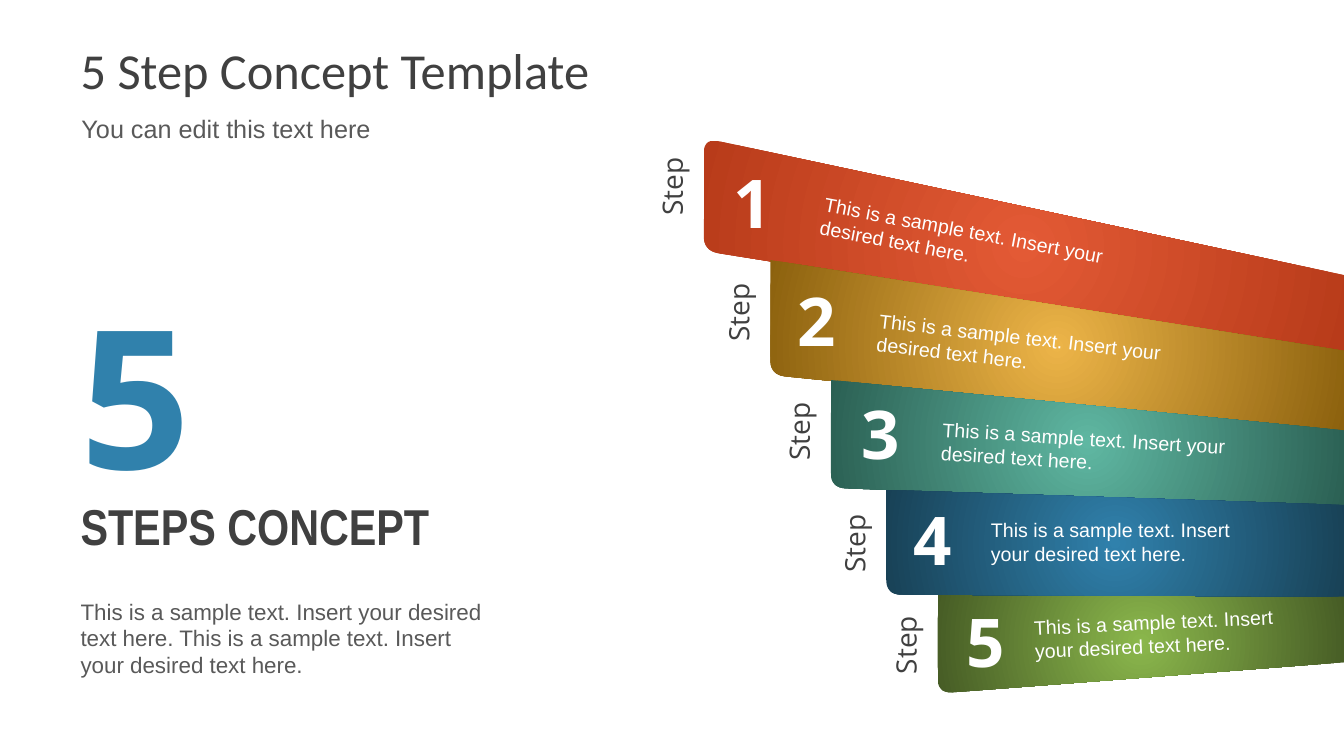
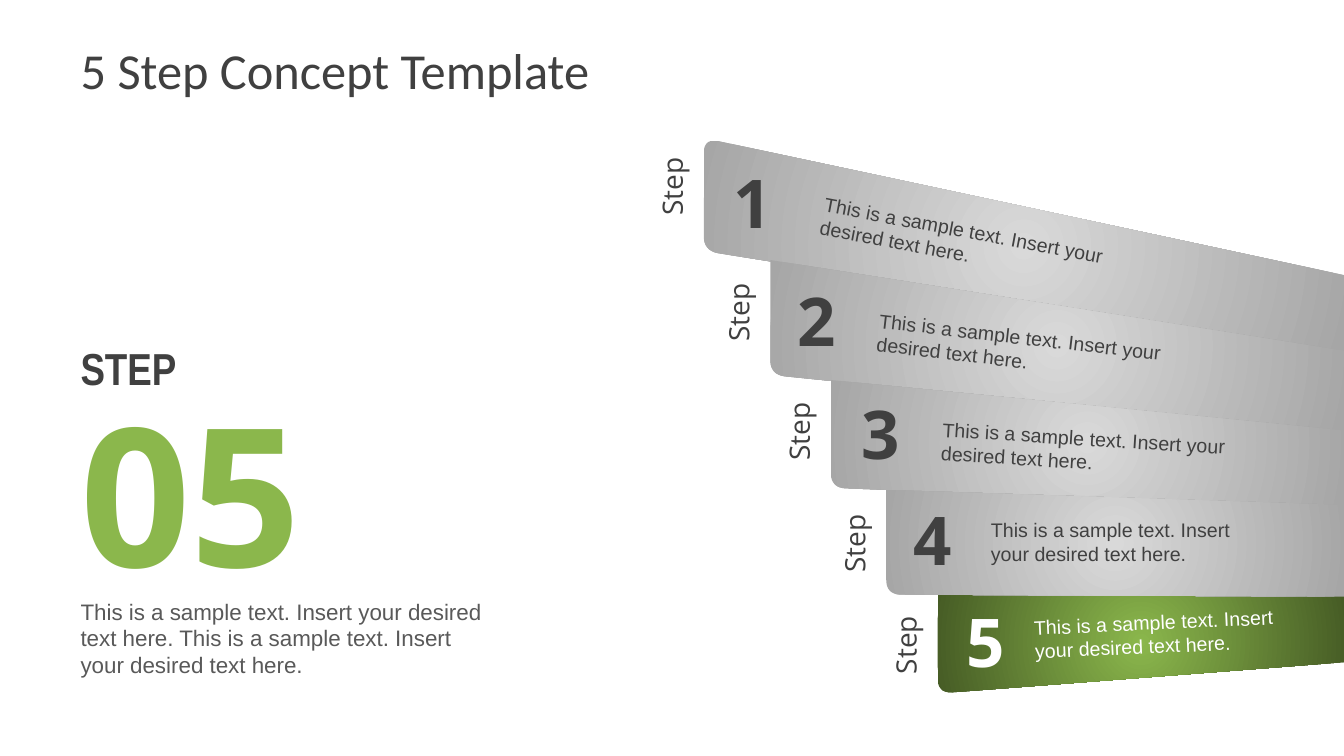
from lxml import etree
from pptx import Presentation
from pptx.dml.color import RGBColor
from pptx.enum.text import MSO_ANCHOR, MSO_AUTO_SIZE, PP_ALIGN
from pptx.oxml.ns import qn
from pptx.util import Inches, Pt

LEFT, CENTER = PP_ALIGN.LEFT, PP_ALIGN.CENTER
MIDDLE = MSO_ANCHOR.MIDDLE
GROW = MSO_AUTO_SIZE.SHAPE_TO_FIT_TEXT

# Shared style
WIDTH, HEIGHT = 13.33, 7.5
DARK, MUTED, WHITE = "404040", "595959", "FFFFFF"
GREY_GRADIENT = ("D9D9D9", "A6A6A6")
TITLE_FONT, NUMBER_FONT, BODY_FONT, HEADING_FONT = "Calibri", "Open Sans", "Arial", "Arial Narrow"
MARGIN, COLUMN = 0.7, 4.21
CORNER_WIDTH, CORNER_HEIGHT, CORNER_POINTS = 0.15, 0.15, 12
STEP_OFFSET, STEP_SIZE = 0.78, (0.93, 0.44)
NUMBER_SIZE = (0.59, 0.91)

# Content
TITLE = "5 Step Concept Template"
SAMPLE = "This is a sample text. Insert your desired text here."
# edges: left, top left, top right, bottom right, bottom left
# text: left, top, width, rotation
BANDS = [
    dict(gradient=("E35A35", "B83B1A"), edges=(6.98, 1.37, 2.73, 3.49, 2.49),
         number=(7.18, 1.55), step_top=1.63, text=(8.03, 2.17, 3.6, 10.7)),
    dict(gradient=("ECB448", "8C610E"), edges=(7.64, 2.58, 3.48, 4.28, 3.72),
         number=(7.81, 2.72), step_top=2.88, text=(8.6, 3.21, 3.6, 6.7)),
    dict(gradient=("5FB7A2", "2B6053"), edges=(8.24, 3.77, 4.27, 5.02, 4.84),
         number=(8.45, 3.84), step_top=4.06, text=(9.24, 4.2, 3.6, 3.6)),
    dict(gradient=("3081AC", "184156"), edges=(8.79, 4.86, 5.01, 5.92, 5.9),
         number=(8.96, 4.89), step_top=5.17, text=(9.73, 5.09, 3, 0)),
    dict(gradient=("8BB74C", "465C25"), edges=(9.3, 5.88, 5.91, 6.57, 6.88),
         number=(9.49, 5.91), step_top=6.18, text=(10.16, 6, 2.75, -2.7)),
]
STACKING = (0, 1, 4, 2, 3)  # back to front

BIG = dict(size=138, font=NUMBER_FONT, bold=True, spacing=0.8)
HEADING = dict(font=HEADING_FONT, bold=True, spacing=0.8)
DETAIL = ((MARGIN, 5.88, COLUMN, 0.91),
          [(f"{SAMPLE} {SAMPLE}", dict(size=16, color=MUTED))])
SLIDES = [
    dict(colored=range(5), blocks=[
        ((MARGIN, 3.14, COLUMN, 2.44), [("5", dict(BIG, color="3081AC")),
                                        ("STEPS CONCEPT", dict(HEADING, size=36))]),
        DETAIL,
        ((0.71, 1.08, COLUMN, 0.4), [("You can edit this text here", dict(size=18, color=MUTED))]),
    ]),
    dict(colored=[4], blocks=[
        ((MARGIN, 4.11, COLUMN, 1.96), [("05", dict(BIG, color="8BB74C"))]),
        DETAIL,
        ((MARGIN, 3.43, COLUMN, 0.53), [("STEP", dict(HEADING, size=32))]),
    ]),
]


def rgb(color):
    return RGBColor.from_string(color)


def place(shape, left, top, width, height):
    shape.left, shape.top = Inches(left), Inches(top)
    shape.width, shape.height = Inches(width), Inches(height)


def write(paragraph, text, size=14, font=BODY_FONT, color=DARK, bold=False,
          align=LEFT, spacing=None):
    paragraph.alignment = align
    paragraph.line_spacing = spacing
    run = paragraph.add_run()
    run.text = text
    run.font.size, run.font.name, run.font.bold = Pt(size), font, bold
    run.font.color.rgb = rgb(color)


def add_text(slide, box, lines, rotation=0, wrap=True):
    shape = slide.shapes.add_textbox(*map(Inches, box))
    shape.rotation = rotation
    frame = shape.text_frame
    frame.word_wrap, frame.auto_size = wrap, GROW
    for index, (text, style) in enumerate(lines):
        paragraph = frame.add_paragraph() if index else frame.paragraphs[0]
        write(paragraph, text, **style)


def rounded_corner(start, corner, end):
    """Points on a quadratic curve that rounds off a corner."""
    curve = []
    for step in range(CORNER_POINTS + 1):
        t = step / CORNER_POINTS
        curve.append(tuple((1 - t) ** 2 * a + 2 * t * (1 - t) * b + t * t * c
                           for a, b, c in zip(start, corner, end)))
    return curve


def band_outline(edges, round_top):
    left, top, right_top, right_bottom, bottom = edges
    share = CORNER_WIDTH / (WIDTH - left)
    inner = left + CORNER_WIDTH
    points = [(left, top)]
    if round_top:
        points = rounded_corner((inner, top + share * (right_top - top)), (left, top),
                                (left, top + CORNER_HEIGHT))
    points += rounded_corner((left, bottom - CORNER_HEIGHT), (left, bottom),
                             (inner, bottom + share * (right_bottom - bottom)))
    return points + [(WIDTH, right_bottom), (WIDTH, right_top)]


def fill_radial(shape, colors):
    shape.fill.gradient()
    for stop, color in zip(shape.fill.gradient_stops, colors):
        stop.color.rgb = rgb(color)
    gradient = shape._element.spPr.find(qn("a:gradFill"))
    gradient.remove(gradient.find(qn("a:lin")))
    circle = etree.SubElement(gradient, qn("a:path"), {"path": "circle"})
    etree.SubElement(circle, qn("a:fillToRect"), dict.fromkeys("ltrb", "50000"))


def add_band(slide, index, colored):
    band = BANDS[index]
    outline = band_outline(band["edges"], round_top=index == 0)
    # The builder rounds to whole units, so the points are given in EMU
    start, *others = [(Inches(x), Inches(y)) for x, y in outline]
    builder = slide.shapes.build_freeform(*start)
    builder.add_line_segments(others, close=True)
    shape = builder.convert_to_shape()
    shape.shadow.inherit = False
    shape.line.fill.background()
    fill_radial(shape, band["gradient"] if colored else GREY_GRADIENT)


def add_band_texts(slide, index, colored):
    band = BANDS[index]
    color = WHITE if colored else DARK
    number = dict(size=48, font=NUMBER_FONT, bold=True, color=color)
    add_text(slide, band["number"] + NUMBER_SIZE, [(str(index + 1), number)], wrap=False)
    step_left = band["edges"][0] - STEP_OFFSET
    add_text(slide, (step_left, band["step_top"]) + STEP_SIZE,
             [("Step", dict(size=20, font=NUMBER_FONT, align=CENTER))], rotation=270)
    left, top, width, rotation = band["text"]
    add_text(slide, (left, top, width, 0.57), [(SAMPLE, dict(color=color))], rotation=rotation)


def style_title(layout):
    """Place the title once, on the layout both slides use."""
    title = layout.placeholders[0]
    place(title, 0.67, 0.3, 12, 0.78)
    frame = title.text_frame
    frame.vertical_anchor = MIDDLE
    frame.margin_left = frame.margin_right = Inches(0.13)
    frame.margin_top = frame.margin_bottom = Inches(0.07)


def add_slide(presentation, layout, colored, blocks):
    slide = presentation.slides.add_slide(layout)
    write(slide.shapes.title.text_frame.paragraphs[0], TITLE, size=36, font=TITLE_FONT)
    for index in STACKING:
        add_band(slide, index, index in colored)
    for index in range(len(BANDS)):
        add_band_texts(slide, index, index in colored)
    for box, lines in blocks:
        add_text(slide, box, lines)


def main():
    presentation = Presentation()
    presentation.slide_width, presentation.slide_height = Inches(WIDTH), Inches(HEIGHT)
    layout = presentation.slide_layouts.get_by_name("Title Only")
    style_title(layout)
    for content in SLIDES:
        add_slide(presentation, layout, **content)
    presentation.save("out.pptx")


if __name__ == "__main__":
    main()
